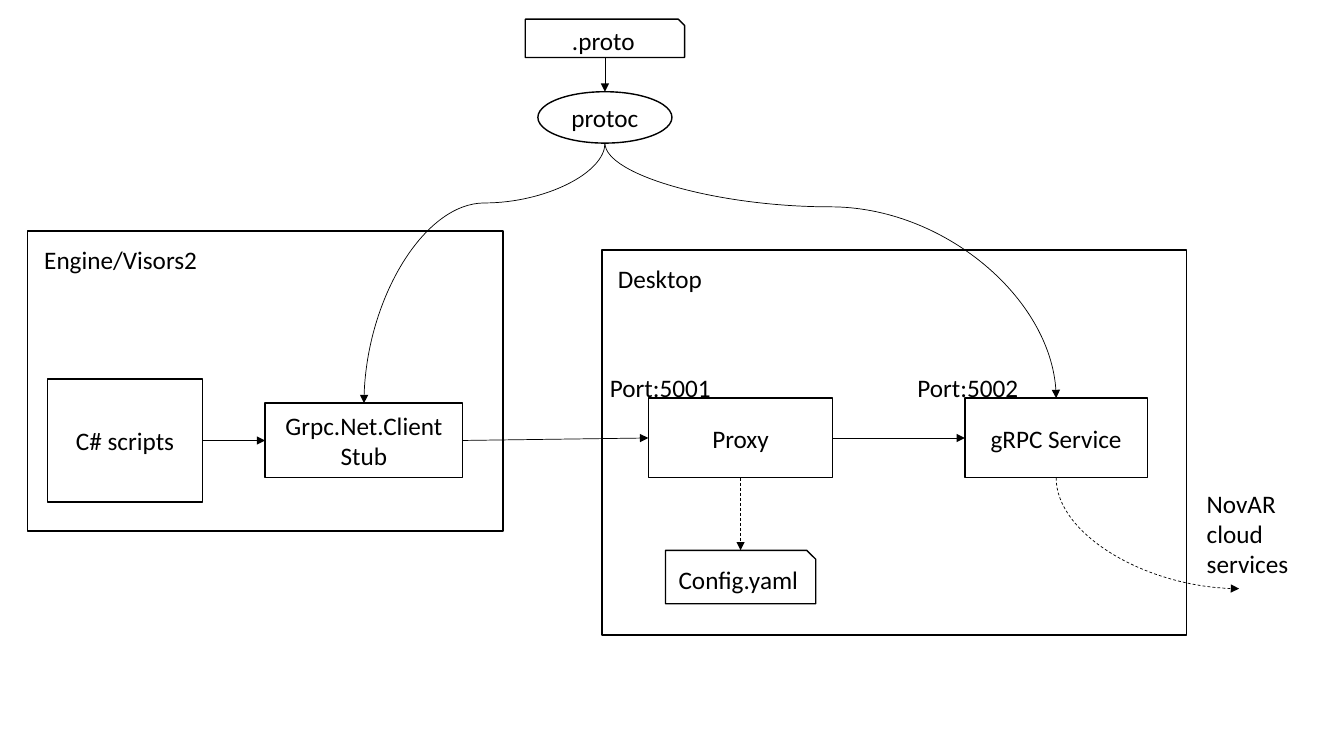
from lxml import etree
from pptx import Presentation
from pptx.dml.color import RGBColor
from pptx.enum import dml, shapes, text
from pptx.oxml import ns
from pptx.util import Inches, Pt

BLACK = RGBColor(0, 0, 0)
FONT = "Calibri"
RECT = shapes.MSO_SHAPE.RECTANGLE
SNIP = shapes.MSO_SHAPE.SNIP_1_RECTANGLE
OVAL = shapes.MSO_SHAPE.OVAL


def write(shape, words, align):
    tf = shape.text_frame
    tf.text = words
    p = tf.paragraphs[0]
    p.alignment = align
    font = p.runs[0].font
    font.name, font.size = FONT, Pt(18)
    font.color.rgb = BLACK


def node(s, box, words="", kind=RECT):
    """Outlined shape with centred text."""
    sp = s.shapes.add_shape(kind, *map(Inches, box))
    sp.shadow.inherit = False
    sp.fill.background()
    sp.line.color.rgb = BLACK
    sp.line.width = Pt(1)
    if words:
        sp.text_frame.vertical_anchor = text.MSO_ANCHOR.MIDDLE
        write(sp, words, text.PP_ALIGN.CENTER)
    return sp


def label(s, box, words, wrap=False):
    sp = s.shapes.add_textbox(*map(Inches, box))
    write(sp, words, text.PP_ALIGN.LEFT)
    sp.text_frame.word_wrap = wrap
    sp.text_frame.auto_size = text.MSO_AUTO_SIZE.SHAPE_TO_FIT_TEXT


def edge(sp, side):
    """Midpoint of one side of a shape."""
    fx, fy = {"top": (.5, 0), "bottom": (.5, 1), "left": (0, .5), "right": (1, .5)}[side]
    return int(sp.left + fx * sp.width), int(sp.top + fy * sp.height)


def arrow(s, start, end, dashed=False, kind=shapes.MSO_CONNECTOR.STRAIGHT):
    c = s.shapes.add_connector(kind, *start, *end)
    c.line.color.rgb = BLACK
    c.line.width = Pt(0.5)
    if dashed:
        c.line.dash_style = dml.MSO_LINE.DASH
    etree.SubElement(c.line._get_or_add_ln(), ns.qn("a:tailEnd"), type="triangle")
    etree.SubElement(c._element.spPr, ns.qn("a:effectLst"))
    return c


def curve(s, start, end, bend=None, dashed=False):
    """Curved arrow that leaves downwards; without a bend it arrives sideways."""
    c = arrow(s, start, end, dashed, shapes.MSO_CONNECTOR.CURVE)
    (x1, y1), (x2, y2) = start, end
    across, down = abs(x2 - x1), y2 - y1
    # The connector runs sideways by default, so turn it about its centre
    c.left, c.top = (x1 + x2 - down) // 2, (y1 + y2 - across) // 2
    c.width, c.height = down, across
    xfrm = c._element.spPr.find(ns.qn("a:xfrm"))
    for flip in ("flipH", "flipV"):
        xfrm.attrib.pop(flip, None)
    xfrm.set("rot", str((270 if x2 > x1 else 90) * 60000))
    if x2 > x1:
        xfrm.set("flipH", "1")
    geom = c._element.spPr.find(ns.qn("a:prstGeom"))
    geom.set("prst", "curvedConnector2" if bend is None else "curvedConnector3")
    if bend is not None:
        guides = geom.find(ns.qn("a:avLst"))
        if guides is None:
            guides = etree.SubElement(geom, ns.qn("a:avLst"))
        etree.SubElement(guides, ns.qn("a:gd"), name="adj1", fmla=f"val {int(bend * 100000)}")


def client_region(s, x, y, w, h):
    node(s, (x, y, w, h))
    label(s, (x + .07, y + .08, 1.88, .4), "Engine/Visors2")
    scripts = node(s, (x + .2, y + 1.47, 1.54, 1.22), "C# scripts")
    stub = node(s, (x + 2.36, y + 1.71, 1.96, .74), "Grpc.Net.Client Stub")
    arrow(s, edge(scripts, "right"), edge(stub, "left"))
    return stub


def desktop_region(s, x, y, w, h):
    node(s, (x, y, w, h))
    label(s, (x + .06, y + .08, 1.04, .4), "Desktop")
    proxy = node(s, (x + .46, y + 1.47, 1.83, .79), "Proxy")
    service = node(s, (x + 3.6, y + 1.47, 1.81, .79), "gRPC Service")
    config = node(s, (x + .63, y + 2.98, 1.49, .53), "Config.yaml", SNIP)
    for dx, port in ((-.02, "5001"), (3.03, "5002")):
        label(s, (x + dx, y + 1.16, 1.21, .4), f"Port:{port}")
    arrow(s, edge(proxy, "right"), edge(service, "left"))
    arrow(s, edge(proxy, "bottom"), edge(config, "top"), dashed=True)
    return proxy, service


def compiler_region(s, x, y, w, h):
    proto = node(s, (x, y, w, .38), ".proto", SNIP)
    protoc = node(s, (x + (w - 1.33) / 2, y + h - .51, 1.33, .51), "protoc", OVAL)
    arrow(s, edge(proto, "bottom"), edge(protoc, "top"))
    return protoc


prs = Presentation()
prs.slide_width, prs.slide_height = Inches(13.33), Inches(7.5)
s = prs.slides.add_slide(prs.slide_layouts[6])

# Regions
stub = client_region(s, .27, 2.29, 4.72, 2.98)
proxy, service = desktop_region(s, 5.97, 2.48, 5.8, 3.82)
protoc = compiler_region(s, 5.21, .19, 1.58, 1.23)

# Links between regions
arrow(s, edge(stub, "right"), edge(proxy, "left"))
curve(s, edge(protoc, "bottom"), edge(service, "top"), .25)
curve(s, edge(protoc, "bottom"), edge(stub, "top"), .23)

# Cloud services outside the desktop
curve(s, edge(service, "bottom"), (Inches(12.29), Inches(5.84)), dashed=True)
label(s, (11.87, 4.79, 1.14, 1.01), "NovAR cloud services", wrap=True)

prs.save("out.pptx")
